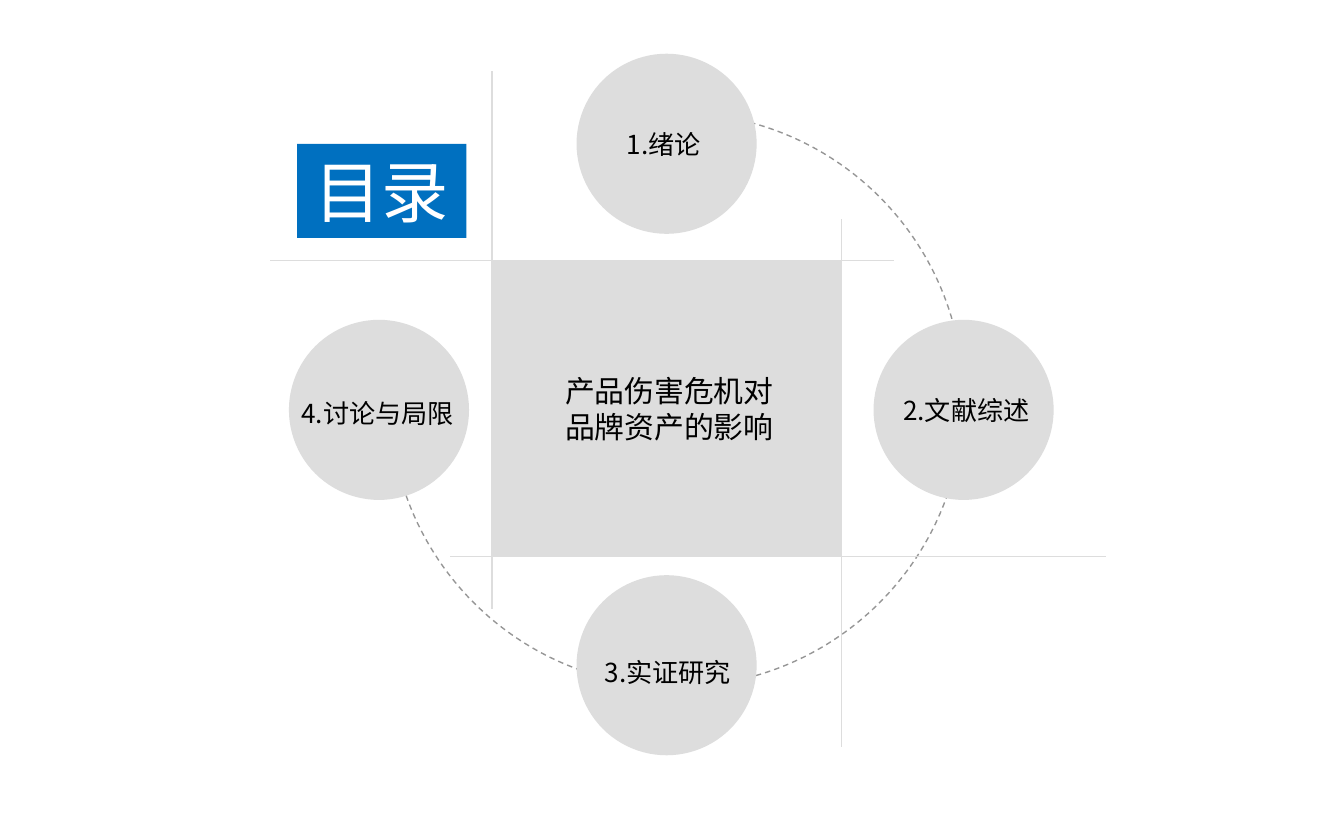
from lxml import etree
from pptx import Presentation
from pptx.dml.color import RGBColor
from pptx.enum import dml, shapes, text
from pptx.oxml.ns import qn
from pptx.util import Inches, Pt

GREY = RGBColor(0xDD, 0xDD, 0xDD)
DASH_GREY = RGBColor(0x96, 0x96, 0x96)
BLUE = RGBColor(0x00, 0x70, 0xC0)
WHITE = RGBColor(0xFF, 0xFF, 0xFF)
BLACK = RGBColor(0x00, 0x00, 0x00)
SANS = "Noto Sans CJK SC"
CIRCLE = 1.34


def write(frame, words, size, font=SANS, color=BLACK):
    """Fill a frame with centred text, one paragraph per line."""
    frame.text = words
    frame.word_wrap = True
    frame.auto_size = text.MSO_AUTO_SIZE.NONE
    frame.vertical_anchor = text.MSO_ANCHOR.MIDDLE
    for paragraph in frame.paragraphs:
        paragraph.alignment = text.PP_ALIGN.CENTER
        for run in paragraph.runs:
            run.font.size = Pt(size)
            run.font.name = font
            run.font.color.rgb = color
            east_asian = etree.SubElement(run.font._element, qn("a:ea"))
            east_asian.set("typeface", font)


def add_label(slide, box, words, size):
    label = slide.shapes.add_textbox(*map(Inches, box))
    write(label.text_frame, words, size)


def add_grey(slide, kind, box):
    shape = slide.shapes.add_shape(kind, *map(Inches, box))
    shape.shadow.inherit = False
    shape.fill.solid()
    shape.fill.fore_color.rgb = GREY
    shape.line.fill.background()


def add_title(slide, box):
    title = slide.shapes.title
    title.left, title.top, title.width, title.height = map(Inches, box)
    title.fill.solid()
    title.fill.fore_color.rgb = BLUE
    write(title.text_frame, "目录", 36, "Cabin", WHITE)


def add_ring(slide, box, start, end):
    """Dashed arc running clockwise between two angles in degrees."""
    ring = slide.shapes.add_shape(shapes.MSO_SHAPE.ARC, *map(Inches, box))
    ring.shadow.inherit = False
    ring.fill.background()
    ring.line.color.rgb = DASH_GREY
    ring.line.width = Pt(0.75)
    ring.line.dash_style = dml.MSO_LINE.DASH
    # Angles are stored in 60000ths of a degree, adjustments in 100000ths
    ring.adjustments[0] = start * 0.6
    ring.adjustments[1] = end * 0.6


def add_rule(slide, *ends):
    rule = slide.shapes.add_connector(shapes.MSO_CONNECTOR.STRAIGHT,
                                      *map(Inches, ends))
    rule.line.color.rgb = GREY
    rule.line.width = Pt(0.75)
    etree.SubElement(rule._element.spPr, qn("a:effectLst"))


def add_topic(slide, box):
    """Central square, its sides extended by thin rules, and the thesis topic."""
    left, top, width, height = box
    right, bottom = left + width, top + height
    add_grey(slide, shapes.MSO_SHAPE.RECTANGLE, box)
    add_rule(slide, left, top - 1.41, left, bottom + 0.39)
    add_rule(slide, right, top - 0.31, right, bottom + 1.42)
    add_rule(slide, left - 1.65, top, right + 0.39, top)
    add_rule(slide, left - 0.31, bottom, right + 1.97, bottom)
    add_label(slide, (left + 0.29, top + 0.78, 2.06, 0.64),
              "产品伤害危机对\n品牌资产的影响", 16)


def add_chapter(slide, left, top, words, label_width, shift_x, shift_y):
    """Circle with its label, shifted slightly from the circle's centre."""
    add_grey(slide, shapes.MSO_SHAPE.OVAL, (left, top, CIRCLE, CIRCLE))
    label_left = left + (CIRCLE - label_width) / 2 + shift_x
    label_top = top + (CIRCLE - 0.34) / 2 + shift_y
    add_label(slide, (label_left, label_top, label_width, 0.34), words, 14)


def main():
    prs = Presentation()
    prs.slide_width, prs.slide_height = Inches(10), Inches(6.25)
    slide = prs.slides.add_slide(prs.slide_layouts[5])

    add_title(slide, (2.21, 1.07, 1.26, 0.7))
    add_ring(slide, (2.9, 0.84, 4.27, 4.27), start=282.9, end=164.4)
    add_topic(slide, (3.66, 1.94, 2.6, 2.2))
    chapters = [
        (4.29, 0.4, "1.绪论", 1.02, -0.02, 0),
        (6.5, 2.38, "2.文献综述", 1.38, 0.02, 0),
        (4.29, 4.28, "3.实证研究", 1.3, 0.01, 0.05),
        (2.15, 2.38, "4.讨论与局限", 1.49, -0.01, 0.02),
    ]
    for chapter in chapters:
        add_chapter(slide, *chapter)

    prs.save("out.pptx")


if __name__ == "__main__":
    main()
